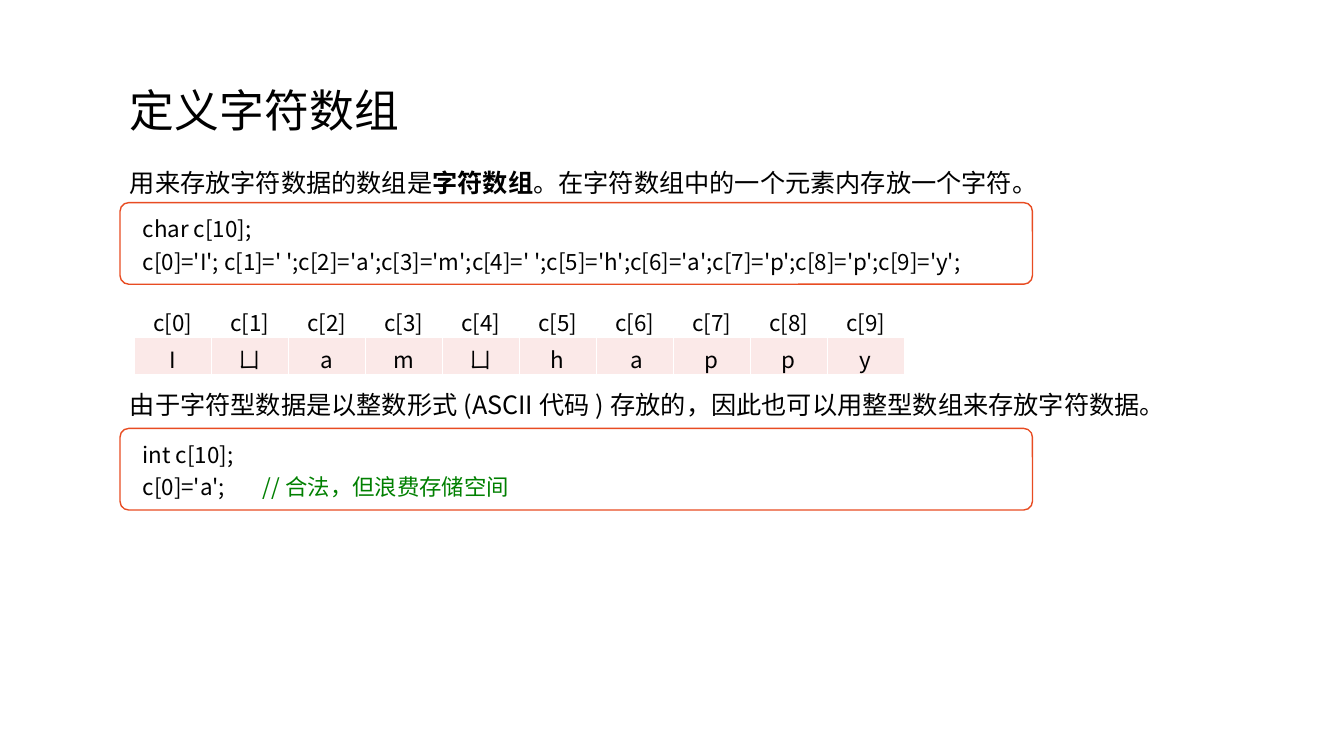
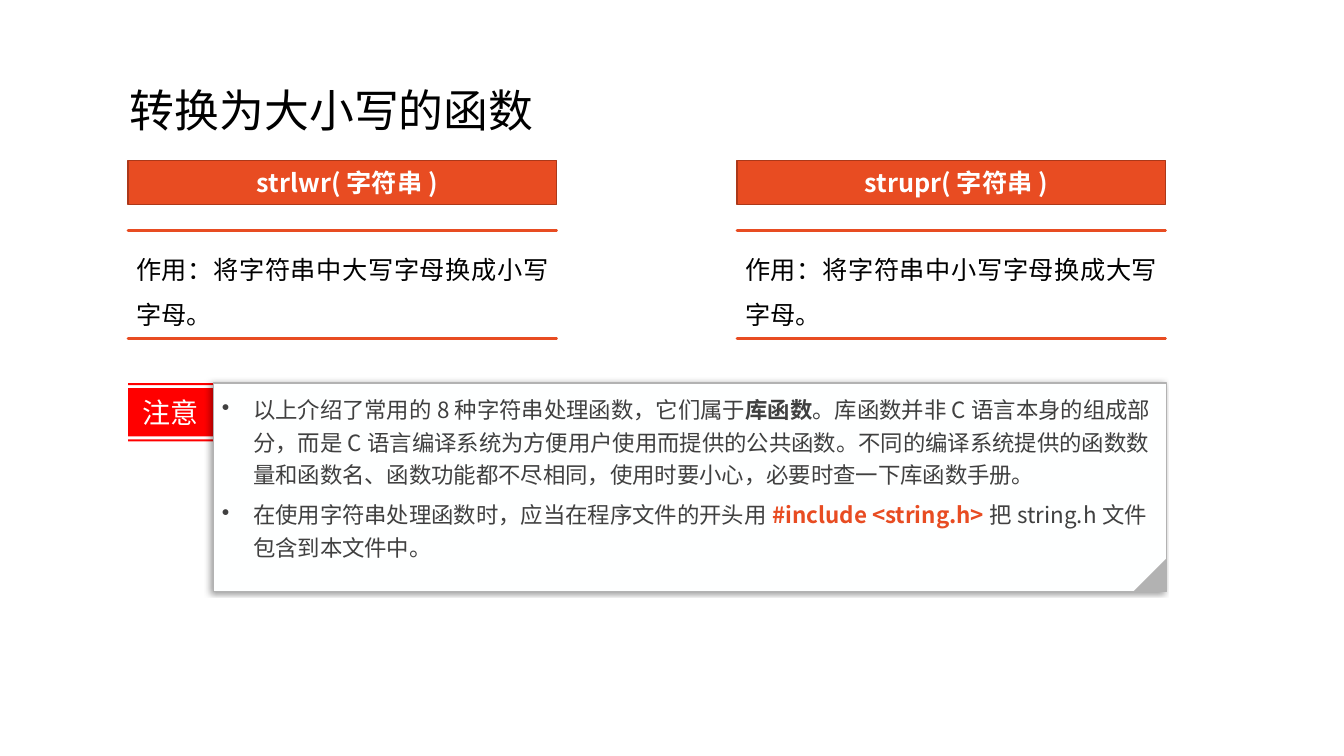
from dataclasses import dataclass
from lxml import etree
from pptx import Presentation
from pptx.dml.color import RGBColor
from pptx.enum.shapes import MSO_SHAPE
from pptx.enum.text import MSO_ANCHOR, PP_ALIGN
from pptx.oxml.ns import qn
from pptx.util import Inches, Pt

RECT, ROUND = MSO_SHAPE.RECTANGLE, MSO_SHAPE.ROUNDED_RECTANGLE
FOLD = MSO_SHAPE.RIGHT_TRIANGLE
TOP, MID = MSO_ANCHOR.TOP, MSO_ANCHOR.MIDDLE
MIDST, JUST = PP_ALIGN.CENTER, PP_ALIGN.JUSTIFY


@dataclass(frozen=True)
class Theme:
    font: str = "Noto Sans CJK SC"
    ink: str = "000000"
    white: str = "FFFFFF"
    paper: str = "FEFFFF"
    accent: str = "E84C22"
    edge: str = "AC3819"
    tint: str = "FBE9E8"
    green: str = "008000"
    red: str = "FF0000"
    grey: str = "B2B2B2"
    soft: str = "404040"
    title: int = 32
    label: int = 20
    body: int = 18
    code: int = 16


T = Theme()
LEFT, EDGE = 1.19, 1.27
WIDE = (0.2, 0.05, 0.1, 0.05)
EVEN = (0.08,) * 4


def rgb(code):
    return RGBColor.from_string(code)


def node(parent, tag, **attrs):
    return etree.SubElement(parent, qn(tag), {k: str(v) for k, v in attrs.items()})


# Text: a paragraph is a list of runs, a run is (words, font values)
def write(frame, paras, size, color=T.ink, bullet=False, tab=None, **form):
    for i, runs in enumerate(paras):
        para = frame.paragraphs[0] if i == 0 else frame.add_paragraph()
        for key, val in form.items():
            setattr(para, key, val)
        props = para._p.get_or_add_pPr()
        if bullet:
            props.set("marL", str(Inches(0.31)))
            props.set("indent", str(Inches(-0.31)))
            node(props, "a:buChar", char="•")
        if tab:
            node(node(props, "a:tabLst"), "a:tab", pos=Inches(tab), algn="l")
        for words, look in runs:
            run = para.add_run()
            run.text = words
            vals = {"size": Pt(size), "name": T.font, "bold": look.get("bold", False)}
            run.font.color.rgb = rgb(look.get("color", color))
            for key, val in vals.items():
                setattr(run.font, key, val)
            node(run._r.get_or_add_rPr(), "a:ea", typeface=T.font)


def fit(frame, inset, anchor):
    sides = ("left", "top", "right", "bottom")
    vals = {f"margin_{s}": Inches(v) for s, v in zip(sides, inset)}
    vals |= {"word_wrap": True, "vertical_anchor": anchor}
    for key, val in vals.items():
        setattr(frame, key, val)
    return frame


def note(slide, box, runs, size=T.body, anchor=TOP, **form):
    shape = slide.shapes.add_textbox(*map(Inches, box))
    frame = fit(shape.text_frame, (0.1, 0.05, 0.1, 0.05), anchor)
    write(frame, [runs], size, **form)


# Shapes
def paint(shape, fill=None, line=None, width=1):
    shape.shadow.inherit = False
    if fill:
        shape.fill.solid()
        shape.fill.fore_color.rgb = rgb(fill)
    else:
        shape.fill.background()
    if line:
        shape.line.color.rgb = rgb(line)
        shape.line.width = Pt(width)
    else:
        shape.line.fill.background()
    return shape


def block(slide, kind, box, **look):
    return paint(slide.shapes.add_shape(kind, *map(Inches, box)), **look)


def trace(slide, loops, **look):
    pen = None
    for loop in loops:
        first, *rest = [(Inches(x), Inches(y)) for x, y in loop]
        if pen is None:
            pen = slide.shapes.build_freeform(*first)
        else:
            pen.move_to(*first)
        pen.add_line_segments(rest, close=True)
    return paint(pen.convert_to_shape(), **look)


def shade(shape):
    glow = node(shape._element.spPr.find(qn("a:effectLst")), "a:outerShdw",
                blurRad=Pt(4), dist=Pt(3), dir=180 * 60000, algn="r", rotWithShape=0)
    node(node(glow, "a:srgbClr", val=T.ink), "a:alpha", val=40000)


# Parts of the slides
def start(deck, title):
    slide = deck.slides.add_slide(deck.slide_layouts[6])
    note(slide, (LEFT, 0.4, 6.48, 1.45), [(title, {})], T.title, MID, line_spacing=0.9)
    return slide


def code(slide, top, paras):
    shape = block(slide, ROUND, (LEFT, top, 9.05, 0.81), fill=T.white, line=T.accent)
    shape.adjustments[0] = 0.107
    write(fit(shape.text_frame, WIDE, TOP), paras, T.code, tab=1.19,
          alignment=PP_ALIGN.LEFT, line_spacing=1.2)


def array(slide, chars):
    count = len(chars)
    box = map(Inches, (1.33, 2.98, 7.64, 0.73))
    grid = slide.shapes.add_table(2, count, *box).table
    grid.first_row = grid.horz_banding = False
    for i, char in enumerate(chars):
        grid.columns[i].width = Inches(7.64 / count)
        head, cell = grid.cell(0, i), grid.cell(1, i)
        head.fill.background()
        for side in ("a:lnL", "a:lnR", "a:lnB"):
            line = node(cell._tc.get_or_add_tcPr(), side, w=Pt(1))
            node(node(line, "a:solidFill"), "a:srgbClr", val=T.white)
        cell.fill.solid()
        cell.fill.fore_color.rgb = rgb(T.tint)
        for spot, words in ((head, f"c[{i}]"), (cell, char)):
            write(spot.text_frame, [[(words, {})]], T.code, alignment=MIDST)


def card(slide, left, head, words):
    width = 4.25
    bar = block(slide, RECT, (left, 1.59, width, 0.44), fill=T.accent, line=T.edge)
    write(fit(bar.text_frame, WIDE, MID), [[(head, {"bold": True})]],
          T.body, T.white, alignment=MIDST)
    rules = [[(left, y), (left + width, y), (left, y)] for y in (3.36, 2.29)]
    body = trace(slide, rules, line=T.accent, width=2)
    write(fit(body.text_frame, EVEN, TOP), [[(words, {})]], T.body, alignment=JUST,
          line_spacing=1.5, space_before=Pt(6), space_after=Pt(6))


def notice(slide, label, paras):
    left = 2.12
    bands = [[(EDGE, a), (left, a), (left, b), (EDGE, b)]
             for a, b in ((4.36, 4.38), (3.85, 4.33), (3.8, 3.82))]
    tag = trace(slide, bands, fill=T.red)
    write(fit(tag.text_frame, (0.1, 0.05, 0.1, 0.05), MID), [[(label, {})]],
          T.label, T.paper, alignment=MIDST)
    sheet = block(slide, RECT, (left, 3.8, 9.45, 2.07),
                  fill=T.paper, line=T.grey, width=0.75)
    shade(sheet)
    write(fit(sheet.text_frame, EVEN, TOP), paras, T.code, T.soft, bullet=True,
          alignment=PP_ALIGN.LEFT, line_spacing=1.2, space_after=Pt(6))
    fold = block(slide, FOLD, (11.24, 5.54, 0.33, 0.33), fill=T.grey)
    fold.rotation = 270


def arrays(deck):
    slide = start(deck, "定义字符数组")
    note(slide, (LEFT, 1.61, 9.69, 0.4), [
        ("用来存放字符数据的数组是", {}), ("字符数组", {"bold": True}),
        ("。在字符数组中的一个元素内存放一个字符。", {})])
    code(slide, 2.01, [
        [("char c[10];", {})],
        [("c[0]='I'; c[1]=' ';c[2]='a';c[3]='m';c[4]=' ';"
          "c[5]='h';c[6]='a';c[7]='p';c[8]='p';c[9]='y';", {})]])
    array(slide, ["I", "ㄩ", "a", "m", "ㄩ", "h", " a", "p", "p", "y"])
    note(slide, (LEFT, 3.81, 10.52, 0.4), [
        ("由于字符型数据是以整数形式(ASCII代码)存放的，"
         "因此也可以用整型数组来存放字符数据。", {})])
    code(slide, 4.25, [
        [("int c[10];", {})],
        [("c[0]='a'; \t", {}), ("//合法，但浪费存储空间", {"color": T.green})]])


def cases(deck):
    slide = start(deck, "转换为大小写的函数")
    card(slide, EDGE, "strlwr(字符串)", "作用：将字符串中大写字母换成小写字母。")
    card(slide, 7.31, "strupr(字符串)", "作用：将字符串中小写字母换成大写字母。")
    notice(slide, "注意", [
        [("以上介绍了常用的8种字符串处理函数，它们属于", {}),
         ("库函数", {"bold": True}),
         ("。库函数并非C语言本身的组成部分，而是C语言编译系统为方便用户使用而提供的"
          "公共函数。不同的编译系统提供的函数数量和函数名、函数功能都不尽相同，"
          "使用时要小心，必要时查一下库函数手册。", {})],
        [("在使用字符串处理函数时，应当在程序文件的开头用", {}),
         ("#include <string.h>", {"color": T.accent, "bold": True}),
         ("把string.h文件包含到本文件中。", {})]])


def main():
    deck = Presentation()
    deck.slide_width, deck.slide_height = Inches(13.33), Inches(7.5)
    arrays(deck)
    cases(deck)
    deck.save("out.pptx")


main()
